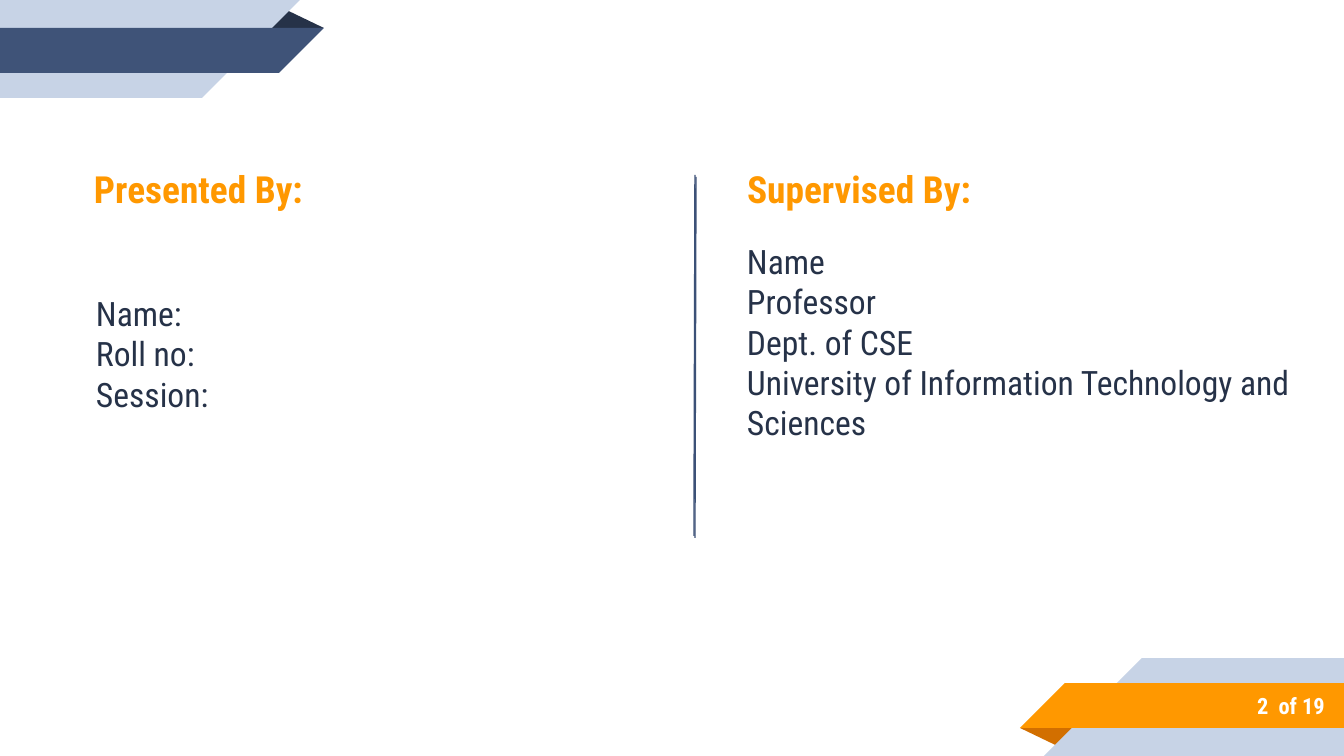
from lxml import etree
from pptx import Presentation
from pptx import util as u
from pptx.dml import color
from pptx.enum import shapes, text
from pptx.oxml import ns

SCALE = 914400 / 134.4
WIDTH, HEIGHT = 1344, 756
FONT = "Roboto Condensed"
NAVY, BLUE, PALE, LINE = "263248", "3F5378", "C7D3E6", "3C5177"
ORANGE, RUST, WHITE = "FF9800", "D26F00", "FFFFFF"
HEADING = {"size": u.Pt(20), "bold": True}
BODY = {"size": u.Pt(18), "bold": False}
NUMBER = {"size": u.Pt(12), "bold": True}
SHAPE = shapes.MSO_SHAPE
ALIGN = text.PP_ALIGN
ANCHOR = text.MSO_ANCHOR


def px(*lengths):
    """Turn pixel lengths into EMU."""
    return [u.Emu(round(length * SCALE)) for length in lengths]


def paint(target, value):
    """Give a fill or line format a solid colour."""
    target.solid()
    target.fore_color.rgb = color.RGBColor.from_string(value)


def add_piece(page, kind, box, fill, rotation=0):
    """Add a flat, unlined preset shape."""
    piece = page.shapes.add_shape(kind, *px(*box))
    piece.shadow.inherit = False
    piece.rotation = rotation
    paint(piece.fill, fill)
    piece.line.fill.background()
    return piece


def add_ribbon(page, box, band, fold, turned=False):
    """Draw a folded corner ribbon, turned half round when asked."""
    left, top, width, height = box
    turn = 180 if turned else 0

    def place(x, y, w, h):
        """Place a part inside the ribbon box."""
        if turned:
            x, y = width - x - w, height - y - h
        return left + x, top + y, w, h

    crease = add_piece(page, SHAPE.ISOSCELES_TRIANGLE, place(266, 9, 58, 19), fold, turn)
    crease.adjustments[0] = 0.32
    for y, length, depth, fill in ((0, 202, height, PALE), (28, 279, 45, band)):
        add_piece(page, SHAPE.RECTANGLE, place(0, y, length, depth), fill, turn)
        add_piece(page, SHAPE.RIGHT_TRIANGLE, place(length, y, depth, depth), fill, 90 + turn)


def add_text(page, box, lines, style, fill, align=ALIGN.LEFT, anchor=ANCHOR.MIDDLE, inset=13):
    """Write one paragraph per line in a text box."""
    frame = page.shapes.add_textbox(*px(*box)).text_frame
    side, edge = px(13, inset)
    layout = {"word_wrap": True, "vertical_anchor": anchor, "margin_left": side,
              "margin_right": side, "margin_top": edge, "margin_bottom": edge}
    for name, value in layout.items():
        setattr(frame, name, value)
    for index, line in enumerate(lines):
        para = frame.add_paragraph() if index else frame.paragraphs[0]
        para.alignment = align
        span = para.add_run()
        span.text = line
        for name, value in {"name": FONT, **style}.items():
            setattr(span.font, name, value)
        paint(span.font.fill, fill)


def add_presenter(page, box):
    """Write the presenter column."""
    left, top, width, height = box
    add_text(page, (left, top, 337, 125), ["Presented By:"], HEADING, ORANGE, ALIGN.CENTER)
    add_text(page, (left + 53, top + 93, width - 53, height - 93),
             ["Name:", "Roll no:", "Session:"], BODY, NAVY)


def add_supervisor(page, box):
    """Write the supervisor column."""
    left, top, width, height = box
    lines = ["Name", "Professor", "Dept. of CSE",
             "University of Information Technology and Sciences"]
    add_text(page, (left, top, 413, 103), ["Supervised By:"], HEADING, ORANGE,
             anchor=ANCHOR.TOP, inset=7)
    add_text(page, (left, top + 75, width, height - 75), lines, BODY, NAVY,
             anchor=ANCHOR.TOP, inset=7)


def add_divider(page, box):
    """Draw the doubled, slightly leaning divider."""
    left, top, width, height = box
    for shift in (0, 1):
        start = px(left + width + shift, top + 2 * shift)
        end = px(left + shift, top + height + 2 * shift)
        rule = page.shapes.add_connector(shapes.MSO_CONNECTOR.STRAIGHT, *start, *end)
        paint(rule.line.fill, LINE)
        rule.line.width = u.Pt(0.75)
        etree.SubElement(rule._element.spPr, ns.qn("a:effectLst"))


def main():
    """Build and save the deck."""
    deck = Presentation()
    deck.slide_width, deck.slide_height = px(WIDTH, HEIGHT)
    page = deck.slides.add_slide(deck.slide_layouts[6])
    paint(page.background.fill, WHITE)
    add_ribbon(page, (0, 0, 324, 98), BLUE, NAVY)
    add_ribbon(page, (WIDTH - 324, HEIGHT - 98, 324, 98), ORANGE, RUST, turned=True)
    add_presenter(page, (30, 126, 794, 362))
    add_text(page, (1120, 682, 218, 47), ["2  of 19"], NUMBER, WHITE, ALIGN.RIGHT)
    add_supervisor(page, (734, 159, 605, 291))
    add_divider(page, (694, 175, 1, 361))
    deck.save("out.pptx")


if __name__ == "__main__":
    main()
